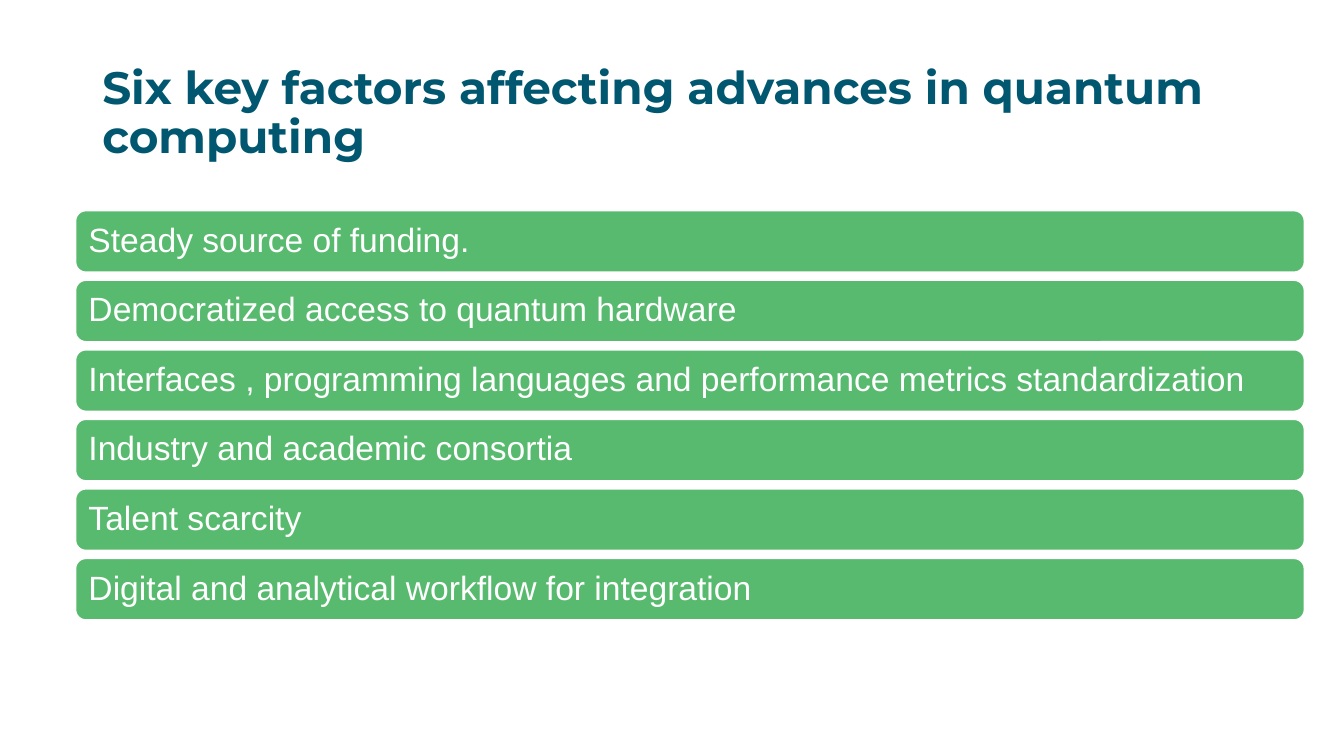
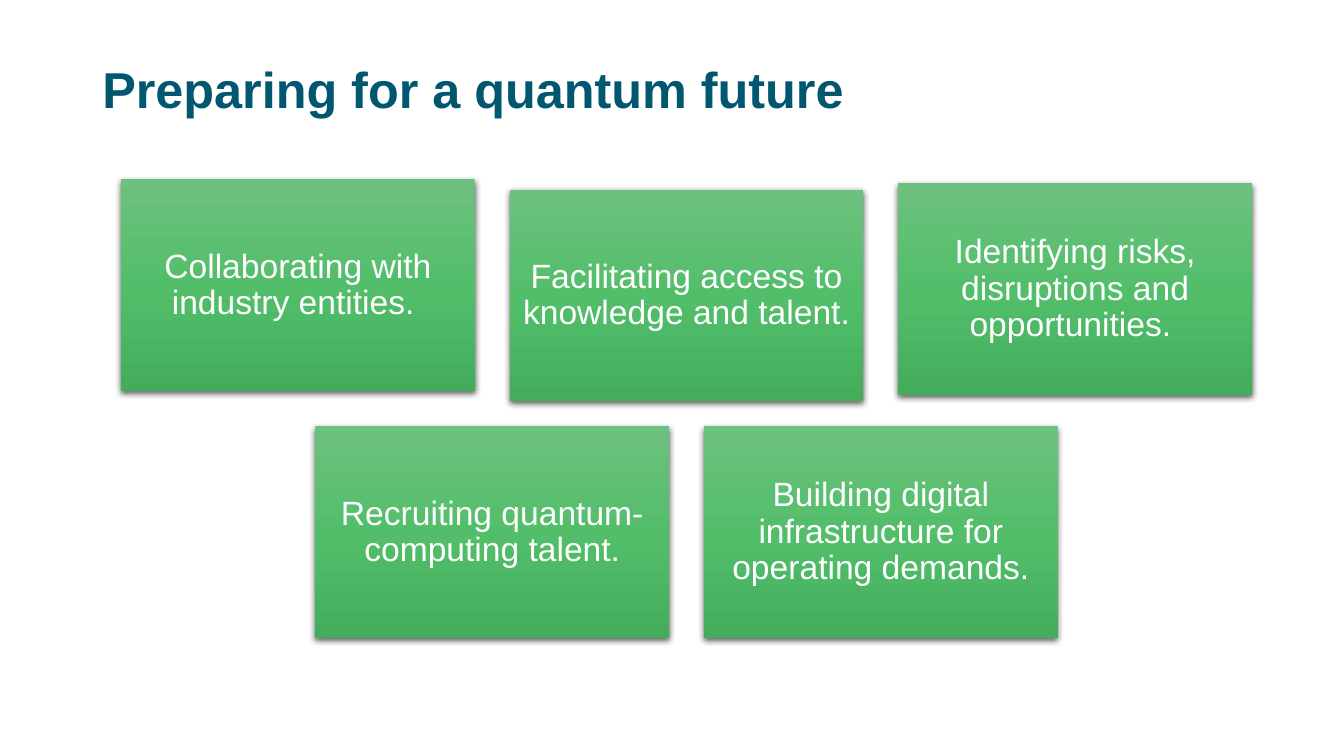
from copy import deepcopy

from pptx import Presentation
from pptx.dml.color import RGBColor
from pptx.enum import shapes, text
from pptx.oxml import parse_xml
from pptx.oxml.ns import nsdecls, qn
from pptx.util import Pt

# Content
FACTORS_TITLE = "Six key factors affecting advances in quantum computing"
FACTORS = [
    "Steady source of funding.",
    "Democratized access to quantum hardware",
    "Interfaces , programming languages and performance metrics standardization",
    "Industry and academic consortia",
    "Talent scarcity",
    "Digital and analytical workflow for integration",
]
FUTURE_TITLE = "Preparing for a quantum future"
# Rows of cards: (first left edge in card steps, [(label, top)])
CARD_ROWS = [
    (0, [("Collaborating with industry entities. ", 128.2),
         ("Facilitating access to knowledge and talent. ", 135.4),
         ("Identifying risks, disruptions and opportunities. ", 131)]),
    (0.5, [("Recruiting quantum-computing talent.", 304.6),
           ("Building digital infrastructure for operating demands.", 304.6)]),
]

# Shared style
COLORS = {"title": "00576F", "white": "FFFFFF", "bar": "58BA6E"}
CARD_STOPS = [(0, "6DC17E"), (0.5, "52BE6A"), (1, "43AD5B")]
BODY_FONT, BODY_SIZE = "Arial", 24
INSET = 7.2
BAR_LEFT, BAR_TOP, BAR_W, BAR_H, BAR_STEP = 54, 150.5, 877.7, 43.9, 49.68
CARD_LEFT, CARD_W, CARD_H, CARD_STEP = 86.4, 252.7, 151.2, 277.6
SHADOW = (
    f'<a:outerShdw {nsdecls("a")} blurRad="{Pt(4.5)}" dist="{Pt(1.5)}" dir="5400000" '
    'algn="ctr" rotWithShape="0"><a:srgbClr val="000000"><a:alpha val="63000"/>'
    '</a:srgbClr></a:outerShdw>'
)


def rgb(name):
    return RGBColor.from_string(COLORS[name])


def write(sp, label, font, size, color, align, anchor, inset, bold=False):
    tf = sp.text_frame
    tf.text = label
    tf.word_wrap = True
    tf.vertical_anchor = anchor
    tf.margin_left = tf.margin_right = Pt(inset)
    tf.margin_top = tf.margin_bottom = Pt(3.6)
    p = tf.paragraphs[0]
    p.alignment = align
    p.line_spacing = 0.9
    f = p.runs[0].font
    f.name, f.size, f.bold = font, Pt(size), bold
    f.color.rgb = rgb(color)


def add_slide(prs, title, font, size):
    s = prs.slides.add_slide(prs.slide_layouts[6])
    box = s.shapes.add_textbox(Pt(66), Pt(43.2), Pt(828), Pt(53.3))
    write(box, title, font, size, "title", text.PP_ALIGN.LEFT,
          text.MSO_ANCHOR.TOP, INSET, bold=True)
    return s


def add_block(s, kind, left, top, width, height, label, align, inset=INSET):
    sp = s.shapes.add_shape(kind, Pt(left), Pt(top), Pt(width), Pt(height))
    sp.shadow.inherit = False
    write(sp, label, BODY_FONT, BODY_SIZE, "white", align,
          text.MSO_ANCHOR.MIDDLE, inset)
    return sp


def add_bar(s, i, label):
    sp = add_block(s, shapes.MSO_SHAPE.ROUNDED_RECTANGLE, BAR_LEFT,
                   BAR_TOP + i * BAR_STEP, BAR_W, BAR_H, label, text.PP_ALIGN.LEFT)
    sp.fill.solid()
    sp.fill.fore_color.rgb = rgb("bar")
    sp.line.color.rgb = rgb("white")
    sp.line.width = Pt(1)


def add_card(s, column, top, label):
    sp = add_block(s, shapes.MSO_SHAPE.RECTANGLE, CARD_LEFT + column * CARD_STEP,
                   top, CARD_W, CARD_H, label, text.PP_ALIGN.CENTER)
    sp.line.fill.background()
    sp.fill.gradient()
    sp.fill.gradient_angle = 270
    # A new gradient has two stops; add the third
    stops = sp._element.spPr.find(qn("a:gradFill")).find(qn("a:gsLst"))
    stops.append(deepcopy(stops[0]))
    for stop, (position, color) in zip(sp.fill.gradient_stops, CARD_STOPS):
        stop.position = position
        stop.color.rgb = RGBColor.from_string(color)
    sp._element.spPr.find(qn("a:effectLst")).append(parse_xml(SHADOW))


def main():
    prs = Presentation()
    prs.slide_width, prs.slide_height = Pt(960), Pt(540)

    # Six factors: stacked bars
    s = add_slide(prs, FACTORS_TITLE, "Montserrat", 32.4)
    for i, label in enumerate(FACTORS):
        add_bar(s, i, label)

    # Quantum future: cards, second row shifted by half a step
    s = add_slide(prs, FUTURE_TITLE, "Arial", 36)
    for start, cards in CARD_ROWS:
        for i, (label, top) in enumerate(cards):
            add_card(s, start + i, top, label)

    prs.save("out.pptx")


if __name__ == "__main__":
    main()
